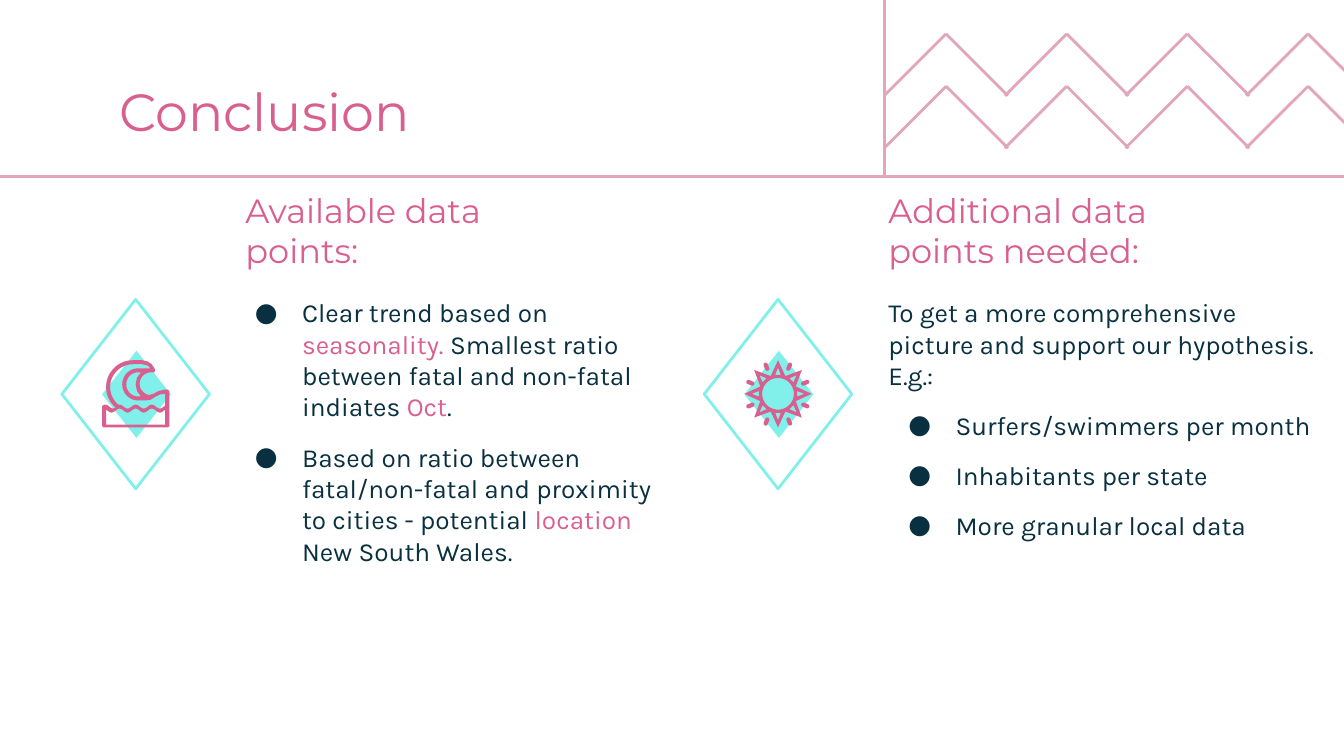
from math import cos, pi, radians, sin

from lxml.etree import SubElement
from pptx import Presentation
from pptx.dml.color import RGBColor
from pptx.enum.shapes import MSO_CONNECTOR as Link, MSO_SHAPE as Preset
from pptx.enum.text import MSO_ANCHOR as Anchor, MSO_AUTO_SIZE as Fit, PP_ALIGN as Align
from pptx.oxml.ns import qn
from pptx.util import Cm, Pt

COLORS = {"pink": "D95F8E", "pale": "E1A5BC", "aqua": "81F0EA", "navy": "083040"}
HEAD_FONT, BODY_FONT = "Montserrat", "Karla"
COLUMN_STEP = 12.14
ICON_UNIT = 1.27 / 50


def arc(cx, cy, radius, start, end, steps=24):
    turns = [radians(start + (end - start) * i / steps) for i in range(steps + 1)]
    return [(cx + radius * cos(t), cy + radius * sin(t)) for t in turns]


def ripple(right, left, level):
    return [(x, level + 1.5 * cos((x - 43) * pi / 6)) for x in range(right, left - 1, -1)]


def wave_contours():
    silhouette = (
        [(30, 0)] + arc(23, 20, 20, 270, 130)
        + [(8, 36), (6, 35), (4, 33.5), (2, 33), (0, 34), (0, 49), (1, 50), (49, 50),
           (50, 49), (50, 23), (49, 22), (46, 22), (42, 23), (38, 25)]
        + arc(36.5, 17.5, 8.5, 100, 270) + [(39, 9), (39.5, 7), (37, 3), (34, 1)]
    )
    curl = arc(27, 18, 9, 90, 270) + [(29, 9), (26, 13), (25, 18), (26, 23), (29, 27)]
    crest = (
        [(30, 3), (34, 4), (36, 6)] + arc(27, 18, 12, 270, 90)
        + [(32, 30), (36, 29.5), (40, 27), (43, 25.5), (47, 25)]
        + ripple(47, 12, 34.5) + arc(23, 20, 17, 130, 270)
    )
    basin = ripple(47, 3, 37.5) + [(3, 48), (47, 48)]
    return [silhouette, curl, crest, basin]


def sun_contours():
    def polar(radius, angle):
        return 25 + radius * cos(radians(angle)), 25 + radius * sin(radians(angle))

    tips = range(0, 360, 45)
    star = [point for a in tips for point in (polar(25, a), polar(14.3, a + 22.5))]
    windows = [[polar(19.5, a), polar(14.3, a - 8.5), polar(14.3, a + 8.5)] for a in tips]
    return [star, arc(25, 25, 11.8, 0, 360, 48), *windows]


class Deck:
    """Holds the style and the current slide, and draws each kind of element."""

    def __init__(self):
        self.prs = Presentation()
        self.prs.slide_width, self.prs.slide_height = Cm(25.4), Cm(14.29)
        self.slide = self.prs.slides.add_slide(self.prs.slide_layouts[5])
        self.shapes = self.slide.shapes

    def color(self, name):
        return RGBColor.from_string(COLORS[name])

    def frame(self, holder, anchor):
        frame = holder.text_frame
        frame.word_wrap, frame.auto_size, frame.vertical_anchor = True, Fit.NONE, anchor
        frame.margin_left = frame.margin_right = Cm(0.25)
        frame.margin_top = frame.margin_bottom = Cm(0.25)
        return frame

    def run(self, paragraph, text, font, size, color):
        run = paragraph.add_run()
        run.text = text
        run.font.name, run.font.size = font, Pt(size)
        run.font.color.rgb = self.color(color)

    def title(self, text, x, y, w, h):
        title = self.shapes.title
        title.left, title.top, title.width, title.height = map(Cm, (x, y, w, h))
        paragraph = self.frame(title, Anchor.TOP).paragraphs[0]
        paragraph.alignment = Align.LEFT
        self.run(paragraph, text, HEAD_FONT, 28, "pink")

    def heading(self, text, x, y, w, h):
        box = self.shapes.add_textbox(*map(Cm, (x, y, w, h)))
        self.run(self.frame(box, Anchor.BOTTOM).paragraphs[0], text, HEAD_FONT, 18, "pink")

    def bullet(self, paragraph):
        props = paragraph._p.get_or_add_pPr()
        props.set("marL", str(Cm(1.27)))
        props.set("indent", str(-Cm(0.89)))
        tint = SubElement(props, qn("a:buClr"))
        SubElement(tint, qn("a:srgbClr"), val=COLORS["navy"])
        SubElement(props, qn("a:buFont"), typeface=BODY_FONT)
        SubElement(props, qn("a:buChar"), char="●")

    def body(self, paragraphs, x, y, w, h):
        frame = self.frame(self.shapes.add_textbox(*map(Cm, (x, y, w, h))), Anchor.TOP)
        for i, (bulleted, pieces) in enumerate(paragraphs):
            paragraph = frame.add_paragraph() if i else frame.paragraphs[0]
            if bulleted:
                self.bullet(paragraph)
            if i:
                paragraph.space_before = Pt(10)
            for text, color in pieces:
                self.run(paragraph, text, BODY_FONT, 14, color)

    def paint(self, shape, fill=None, line=None):
        shape.shadow.inherit = False
        if fill:
            shape.fill.solid()
            shape.fill.fore_color.rgb = self.color(fill)
        else:
            shape.fill.background()
        if line:
            shape.line.color.rgb, shape.line.width = self.color(line), Pt(1.5)
        else:
            shape.line.fill.background()

    def preset(self, kind, x, y, w, h, fill=None, line=None, rotation=0):
        shape = self.shapes.add_shape(kind, *map(Cm, (x, y, w, h)))
        shape.rotation = rotation
        self.paint(shape, fill, line)
        return shape

    def icon(self, contours, x, y):
        def place(point):
            return Cm(x + point[0] * ICON_UNIT), Cm(y + point[1] * ICON_UNIT)

        first, *holes = [[place(point) for point in contour] for contour in contours]
        builder = self.shapes.build_freeform(*first[0])
        builder.add_line_segments(first[1:])
        for hole in holes:
            builder.move_to(*hole[0])
            builder.add_line_segments(hole[1:])
        self.paint(builder.convert_to_shape(), fill="pink")

    def rays(self, cx, cy):
        w, h, reach = 0.08, 0.16, 0.56
        for k in range(8):
            angle = 22.5 + 45 * k
            x = cx + reach * sin(radians(angle)) - w / 2
            y = cy - reach * cos(radians(angle)) - h / 2
            ray = self.preset(Preset.ROUNDED_RECTANGLE, x, y, w, h, "pink", rotation=angle)
            ray.adjustments[0] = 0.5

    def line(self, x1, y1, x2, y2):
        line = self.shapes.add_connector(Link.STRAIGHT, *map(Cm, (x1, y1, x2, y2)))
        line.line.color.rgb, line.line.width = self.color("pale"), Pt(1.5)
        SubElement(line._element.spPr, qn("a:effectLst"))

    def save(self):
        self.prs.save("out.pptx")


def main():
    deck = Deck()
    deck.title("Conclusion", 2.01, 1.24, 21.41, 1.63)

    available = [
        (True, [("Clear trend based on ", "navy"), ("seasonality. ", "pink"),
                ("Smallest ratio between fatal and non-fatal indiates ", "navy"),
                ("Oct", "pink"), (".", "navy")]),
        (True, [("Based on ratio between fatal/non-fatal and proximity to cities - potential ", "navy"),
                ("location", "pink"), (" New South Wales.", "navy")]),
    ]
    intro = "To get a more comprehensive picture and support our hypothesis. E.g.:"
    wishes = ["Surfers/swimmers per month", "Inhabitants per state", "More granular local data"]
    needed = [(False, [(intro, "navy")])] + [(True, [(wish, "navy")]) for wish in wishes]

    columns = [
        ("Available data points:", 4.39, available, 4.19, wave_contours()),
        ("Additional data points needed:", 16.54, needed, 16.54, sun_contours()),
    ]
    for i, (heading, heading_x, points, body_x, contours) in enumerate(columns):
        shift = i * COLUMN_STEP
        deck.heading(heading, heading_x, 3.84, 6.65, 1.52)
        deck.body(points, body_x, 5.36, 8.71, 4.98)
        deck.preset(Preset.FLOWCHART_DECISION, 1.17 + shift, 5.66, 2.79, 3.58, line="aqua")
        deck.preset(Preset.FLOWCHART_DECISION, 1.93 + shift, 6.63, 1.3, 1.65, fill="aqua")
        deck.icon(contours, 1.93 + shift, 6.81)
    deck.rays(2.56 + COLUMN_STEP, 7.45)

    deck.line(25.86, 3.33, -0.46, 3.33)
    deck.line(16.71, -0.81, 16.71, 3.33)
    half, rise = 1.14, 1.17
    for top in (1.63, 0.64):
        for k in range(4):
            peak = 17.88 + 2 * half * k
            for side in (1, -1):
                deck.line(peak, top, peak + side * rise, top + rise)
    deck.save()


if __name__ == "__main__":
    main()
